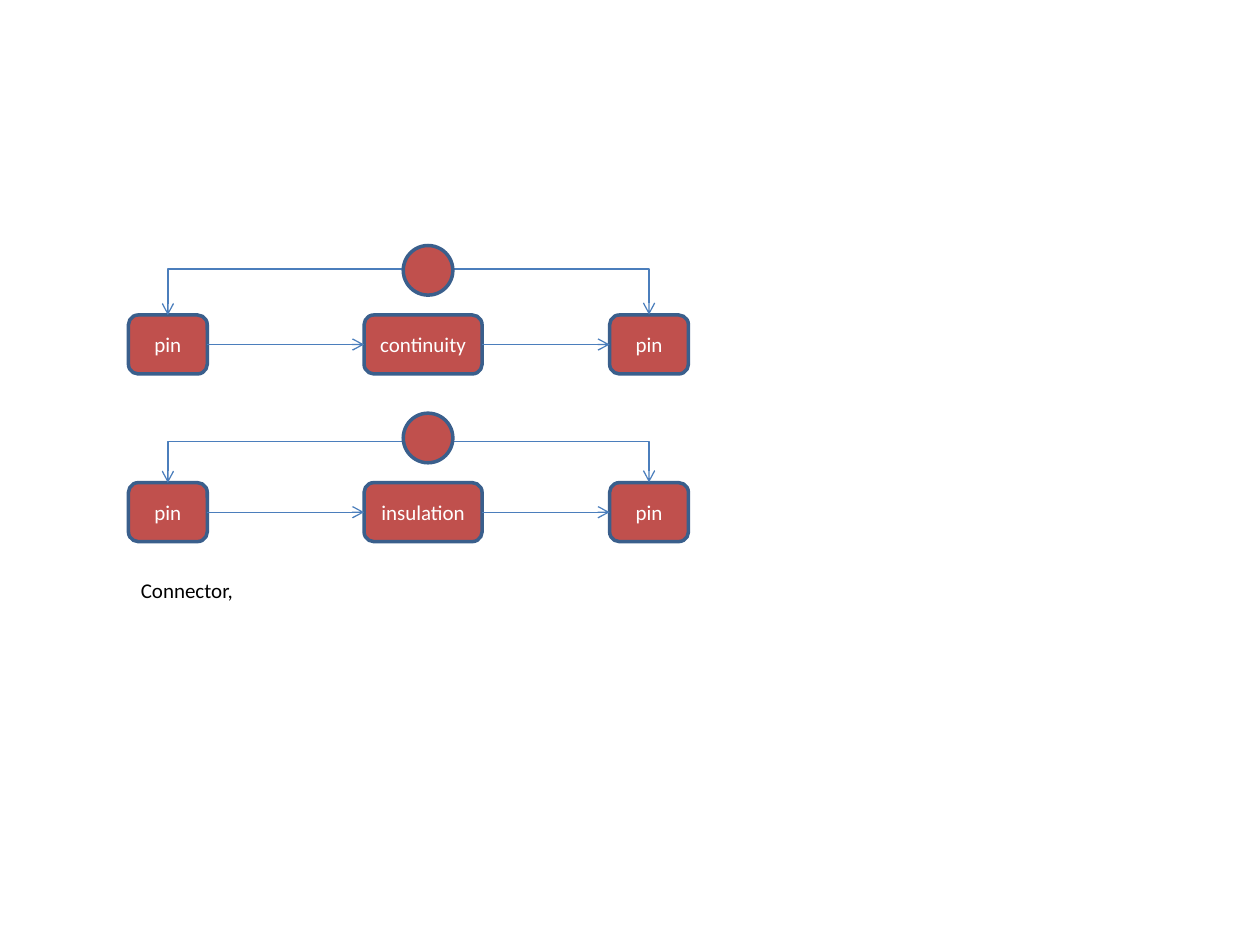
from lxml import etree
from pptx import Presentation
from pptx.dml.color import RGBColor
from pptx.enum.shapes import MSO_CONNECTOR, MSO_SHAPE
from pptx.enum.text import MSO_ANCHOR, PP_ALIGN
from pptx.oxml.ns import qn
from pptx.util import Cm, Pt

ROUND_RECT, OVAL = MSO_SHAPE.ROUNDED_RECTANGLE, MSO_SHAPE.OVAL
STRAIGHT, ELBOW = MSO_CONNECTOR.STRAIGHT, MSO_CONNECTOR.ELBOW
LEFT, CENTER = PP_ALIGN.LEFT, PP_ALIGN.CENTER
MIDDLE = MSO_ANCHOR.MIDDLE
TOP_SITE, LEFT_SITE, RIGHT_SITE = 0, 1, 3

RED = RGBColor(0xC0, 0x50, 0x4D)
OUTLINE = RGBColor(0x3A, 0x5F, 0x8C)
ARROW = RGBColor(0x4B, 0x7E, 0xBC)
WHITE = RGBColor(0xFF, 0xFF, 0xFF)
BLACK = RGBColor(0, 0, 0)

PIN_W, TEST_W, BOX_H, CIRCLE = 1.59, 2.38, 1.19, 1.0
LEFT_X, TEST_X, RIGHT_X, CIRCLE_X = 2.59, 7.34, 12.29, 8.13
CIRCLE_RISE = 1.4
# label, top of the row, rise of the elbow above it
ROWS = [("continuity", 6.35, 0.93), ("insulation", 9.73, 0.84)]


def write(tf, text, size=12, color=BLACK, align=LEFT):
    p = tf.paragraphs[0]
    p.alignment = align
    r = p.add_run()
    r.text = text
    r.font.name = "Calibri"
    r.font.size = Pt(size)
    r.font.color.rgb = color


def add_node(s, kind, x, y, w, h, text=""):
    sp = s.shapes.add_shape(kind, Cm(x), Cm(y), Cm(w), Cm(h))
    sp.shadow.inherit = False
    sp.fill.solid()
    sp.fill.fore_color.rgb = RED
    sp.line.color.rgb = OUTLINE
    sp.line.width = Pt(2)
    if text:
        sp.text_frame.vertical_anchor = MIDDLE
        write(sp.text_frame, text, color=WHITE, align=CENTER)
    return sp


def add_link(s, kind, start, start_site, end, end_site, arrows=("tailEnd",)):
    c = s.shapes.add_connector(kind, 0, 0, 0, 0)
    c.begin_connect(start, start_site)
    c.end_connect(end, end_site)
    c.line.color.rgb = ARROW
    c.line.width = Pt(0.75)
    ln = c.line._get_or_add_ln()
    for tag in arrows:
        etree.SubElement(ln, qn(f"a:{tag}"), type="arrow")
    etree.SubElement(c._element.spPr, qn("a:effectLst"))
    return c


def add_bridge(s, left, right, rise):
    """Join the tops of two boxes with an elbow that rises above them."""
    c = add_link(s, ELBOW, left, TOP_SITE, right, TOP_SITE,
                 arrows=("headEnd", "tailEnd"))
    x1 = left.left + left.width // 2
    x2 = right.left + right.width // 2
    # Turned a quarter, so its width is the drop between ends and sets the rise
    depth, span = Cm(0.01), x2 - x1
    c.left, c.top = (x1 + x2 - depth) // 2, left.top - span // 2
    c.width, c.height = depth, span
    sp_pr = c._element.spPr
    xfrm = sp_pr.find(qn("a:xfrm"))
    for name, value in (("rot", "5400000"), ("flipH", "1"), ("flipV", "1")):
        xfrm.set(name, value)
    av = sp_pr.find(qn("a:prstGeom")).get_or_add_avLst()
    etree.SubElement(av, qn("a:gd"), name="adj1",
                     fmla=f"val {round(Cm(rise) / depth * 100000)}")


def add_test_row(s, label, y, rise):
    left = add_node(s, ROUND_RECT, LEFT_X, y, PIN_W, BOX_H, "pin")
    test = add_node(s, ROUND_RECT, TEST_X, y, TEST_W, BOX_H, label)
    right = add_node(s, ROUND_RECT, RIGHT_X, y, PIN_W, BOX_H, "pin")
    for start, end in ((left, test), (test, right)):
        add_link(s, STRAIGHT, start, RIGHT_SITE, end, LEFT_SITE)
    add_bridge(s, left, right, rise)
    add_node(s, OVAL, CIRCLE_X, y - CIRCLE_RISE, CIRCLE, CIRCLE)


def add_caption(s, text):
    sp = s.shapes.add_textbox(Cm(LEFT_X), Cm(11.51), Cm(2.39), Cm(1.55))
    sp.text_frame.word_wrap = False
    write(sp.text_frame, text)


def main():
    prs = Presentation()
    prs.slide_width, prs.slide_height = Cm(25.4), Cm(19.05)
    s = prs.slides.add_slide(prs.slide_layouts[6])
    for label, y, rise in ROWS:
        add_test_row(s, label, y, rise)
    add_caption(s, "Connector,")
    prs.save("out.pptx")


if __name__ == "__main__":
    main()
